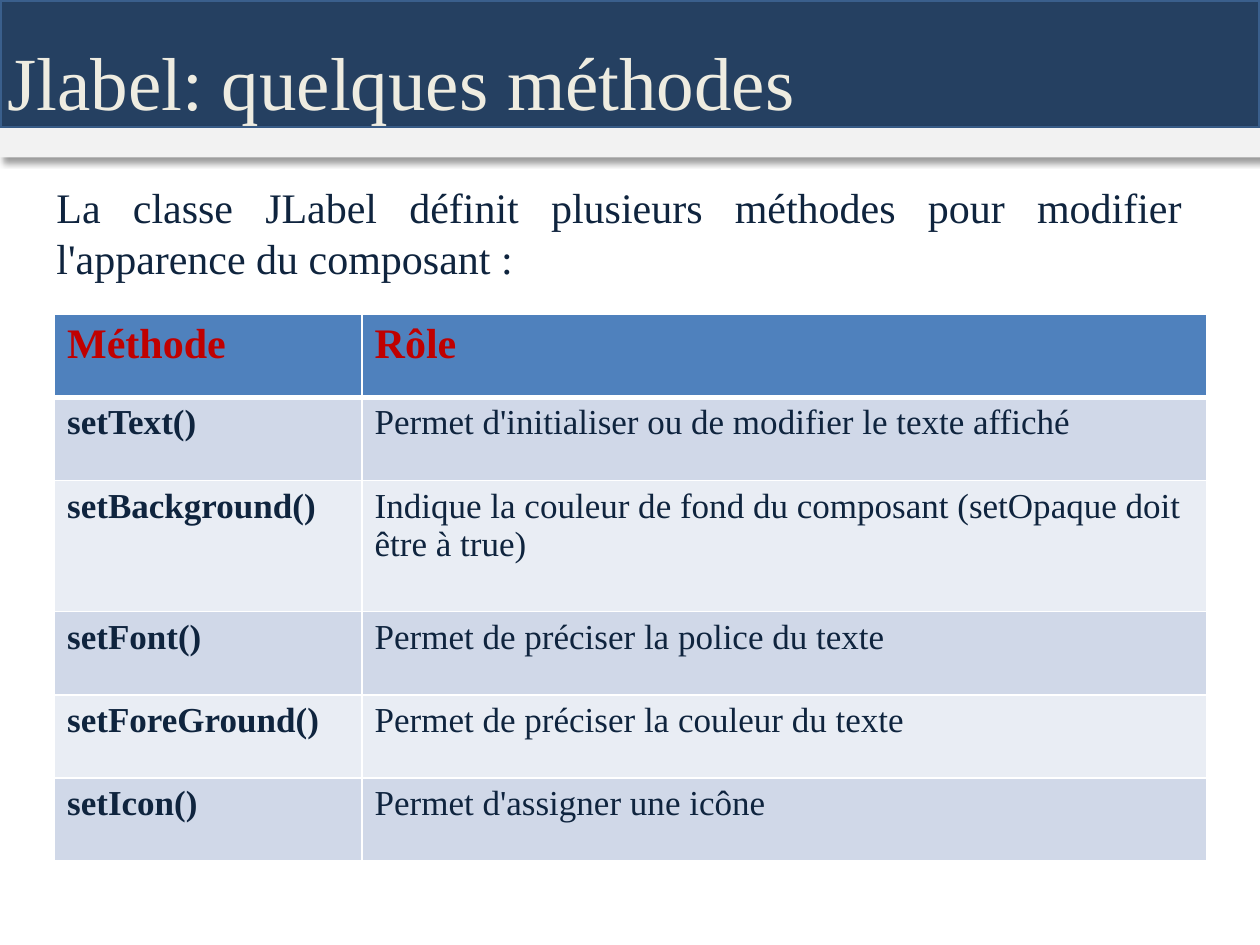
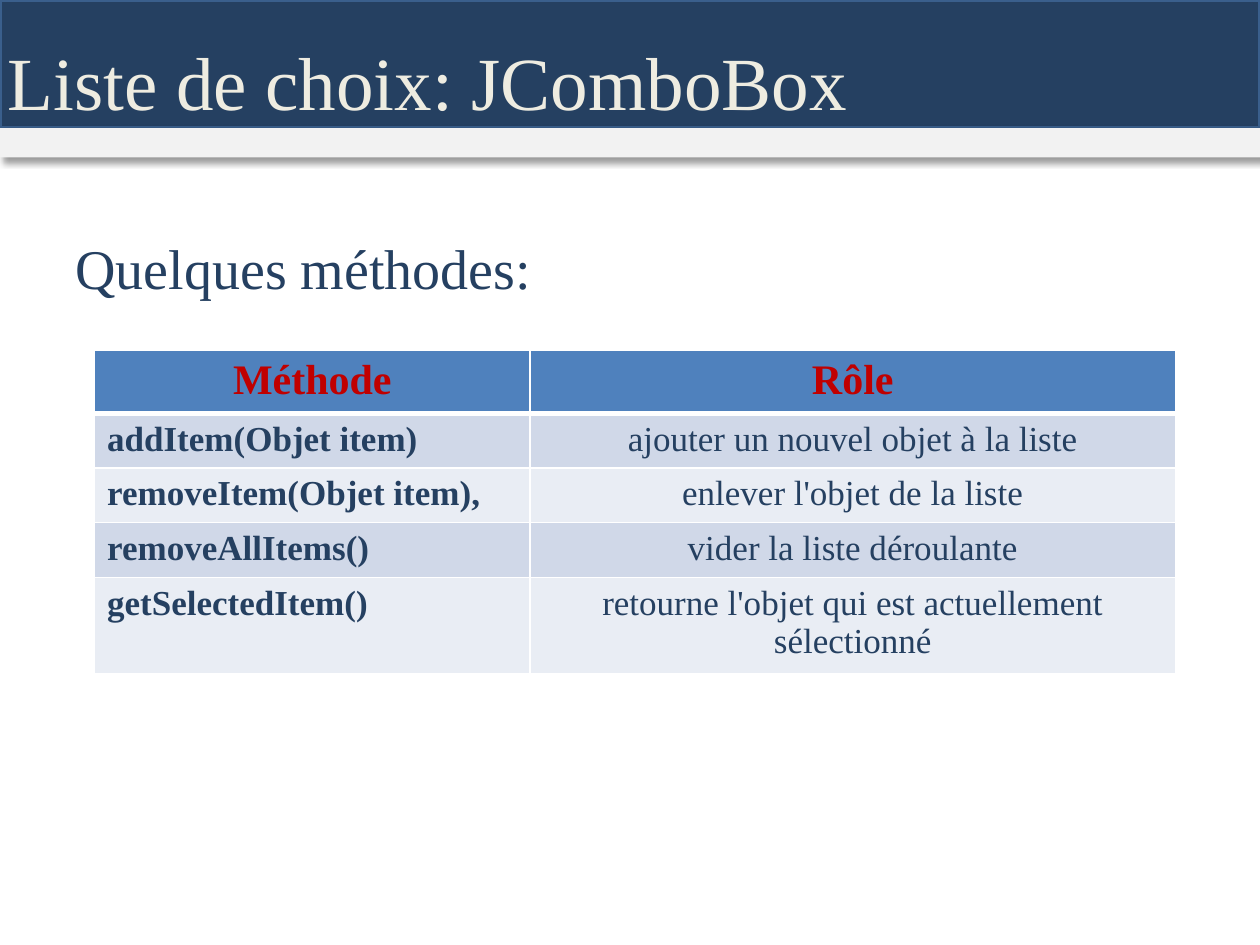
from lxml.etree import SubElement
from pptx import Presentation
from pptx.dml.color import RGBColor
from pptx.enum.shapes import MSO_SHAPE
from pptx.enum.text import MSO_ANCHOR, PP_ALIGN
from pptx.oxml import parse_xml
from pptx.oxml.ns import nsdecls, qn
from pptx.util import Pt

# Content
HEADINGS = ("Méthode", "Rôle")
LABEL_ROWS = [
    ("setText()", "Permet d'initialiser ou de modifier le texte affiché"),
    ("setBackground()", "Indique la couleur de fond du composant (setOpaque doit être à true)"),
    ("setFont()", "Permet de préciser la police du texte"),
    ("setForeGround()", "Permet de préciser la couleur du texte"),
    ("setIcon()", "Permet d'assigner une icône"),
]
COMBO_ROWS = [
    ("addItem(Objet item)", "ajouter un nouvel objet à la liste"),
    ("removeItem(Objet item),", "enlever l'objet de la liste"),
    ("removeAllItems()", "vider la liste déroulante"),
    ("getSelectedItem()", "retourne l'objet qui est actuellement sélectionné"),
]

# Shared style
FONT = "Times New Roman"
NAVY = RGBColor(0x25, 0x40, 0x61)
DARK_NAVY = RGBColor(0x0F, 0x24, 0x3E)
BAND_EDGE = RGBColor(0x3A, 0x5F, 0x8C)
PALE_GREY = RGBColor(0xF2, 0xF2, 0xF2)
CREAM = RGBColor(0xEE, 0xEC, 0xE1)
RED = RGBColor(0xC0, 0x00, 0x00)
HEADER_BLUE = RGBColor(0x4F, 0x81, 0xBD)
ROW_FILLS = (RGBColor(0xD0, 0xD8, 0xE8), RGBColor(0xE9, 0xED, 0xF4))

SLIDE_WIDTH, SLIDE_HEIGHT = 720, 540
BAND_HEIGHT, STRIP_HEIGHT = 73.2, 16.8

SLIDES = [
    {
        "title": "Jlabel: quelques méthodes",
        "intro": "La classe JLabel définit plusieurs méthodes pour modifier l'apparence du composant : ",
        "intro_box": (25.2, 100, 657.4, 65.5),
        "intro_size": 24,
        "intro_align": PP_ALIGN.JUSTIFY,
        "line_spacing": Pt(29.2),
        "margin_top": 3.6,
        "color": DARK_NAVY,
        "rows": LABEL_ROWS,
        "table_origin": (31.2, 179.6),
        "column_widths": (175.7, 482.6),
        "row_heights": (47.5, 47.5, 75, 47.5, 47.5, 47.5),
        "heading_align": PP_ALIGN.LEFT,
        "role_align": PP_ALIGN.LEFT,
    },
    {
        "title": "Liste de choix: JComboBox",
        "intro": "Quelques méthodes:",
        "intro_box": (36, 126, 648, 356.4),
        "intro_size": 32,
        "intro_align": PP_ALIGN.LEFT,
        "line_spacing": 1.0,
        "margin_top": 7.6,
        "color": NAVY,
        "rows": COMBO_ROWS,
        "table_origin": (54, 200.2),
        "column_widths": (249, 368.6),
        "row_heights": (34, 29.4, 29.4, 29.4, 51.6),
        "heading_align": PP_ALIGN.CENTER,
        "role_align": PP_ALIGN.CENTER,
    },
]


def points(values):
    return [Pt(value) for value in values]


def style_text(text_frame, size, color, bold=False, align=PP_ALIGN.LEFT):
    paragraph = text_frame.paragraphs[0]
    paragraph.alignment = align
    for run in paragraph.runs:
        run.font.name = FONT
        run.font.size = Pt(size)
        run.font.bold = bold
        run.font.color.rgb = color
    return paragraph


def add_band(slide, top, height, fill, edge=None):
    band = slide.shapes.add_shape(
        MSO_SHAPE.RECTANGLE, *points((0, top, SLIDE_WIDTH, height)))
    band.fill.solid()
    band.fill.fore_color.rgb = fill
    if edge is None:
        band.line.fill.background()
    else:
        band.line.color.rgb = edge
        band.line.width = Pt(2)
    # Soft shadow towards the lower right
    band.shadow.inherit = False
    effects = band.element.spPr.find(qn("a:effectLst"))
    effects.append(parse_xml(
        f'<a:outerShdw {nsdecls("a")} blurRad="{Pt(4)}" dist="{Pt(3)}" '
        f'dir="{45 * 60000}" algn="tl" rotWithShape="0">'
        '<a:srgbClr val="000000"><a:alpha val="40000"/></a:srgbClr></a:outerShdw>'))
    return band


def add_title(slide, text):
    title = slide.shapes.title
    title.left, title.top, title.width, title.height = points((-2.9, 21.6, 524.9, 55.4))
    title.text_frame.text = text
    title.text_frame.vertical_anchor = MSO_ANCHOR.MIDDLE
    style_text(title.text_frame, 42.9, CREAM).line_spacing = 0.9
    # The dark band lies behind the title, the pale strip in front
    band = add_band(slide, 0, BAND_HEIGHT, NAVY, BAND_EDGE)
    title.element.addprevious(band.element)
    add_band(slide, BAND_HEIGHT, STRIP_HEIGHT, PALE_GREY)


def add_intro(slide, content):
    box = slide.shapes.add_textbox(*points(content["intro_box"]))
    text_frame = box.text_frame
    text_frame.word_wrap = True
    text_frame.margin_top = Pt(content["margin_top"])
    text_frame.text = content["intro"]
    paragraph = style_text(text_frame, content["intro_size"], content["color"],
                           align=content["intro_align"])
    paragraph.line_spacing = content["line_spacing"]


def set_borders(cell, bottom_width):
    properties = cell._tc.get_or_add_tcPr()
    widths = {"lnL": 1, "lnR": 1, "lnT": 1, "lnB": bottom_width}
    for index, (tag, width) in enumerate(widths.items()):
        line = SubElement(properties, qn(f"a:{tag}"), w=str(Pt(width)))
        fill = SubElement(line, qn("a:solidFill"))
        SubElement(fill, qn("a:srgbClr"), val="FFFFFF")
        properties.insert(index, line)


def add_method_table(slide, content):
    rows = [HEADINGS, *content["rows"]]
    widths, heights = content["column_widths"], content["row_heights"]
    frame = slide.shapes.add_table(
        len(rows), len(widths),
        *points((*content["table_origin"], sum(widths), sum(heights))))
    table = frame.table
    for column, width in zip(table.columns, widths):
        column.width = Pt(width)
    for row_index, (row, height) in enumerate(zip(rows, heights)):
        table.rows[row_index].height = Pt(height)
        for column_index, text in enumerate(row):
            cell = table.cell(row_index, column_index)
            cell.text_frame.text = text
            cell.fill.solid()
            if row_index == 0:
                cell.fill.fore_color.rgb = HEADER_BLUE
                style_text(cell.text_frame, 24, RED, True, content["heading_align"])
            else:
                cell.fill.fore_color.rgb = ROW_FILLS[(row_index - 1) % 2]
                is_method = column_index == 0
                align = PP_ALIGN.LEFT if is_method else content["role_align"]
                style_text(cell.text_frame, 20, content["color"], is_method, align)
            set_borders(cell, 3 if row_index == 0 else 1)


def main():
    presentation = Presentation()
    presentation.slide_width = Pt(SLIDE_WIDTH)
    presentation.slide_height = Pt(SLIDE_HEIGHT)
    title_only = presentation.slide_layouts[5]
    for content in SLIDES:
        slide = presentation.slides.add_slide(title_only)
        add_intro(slide, content)
        add_method_table(slide, content)
        add_title(slide, content["title"])
    presentation.save("out.pptx")


if __name__ == "__main__":
    main()
